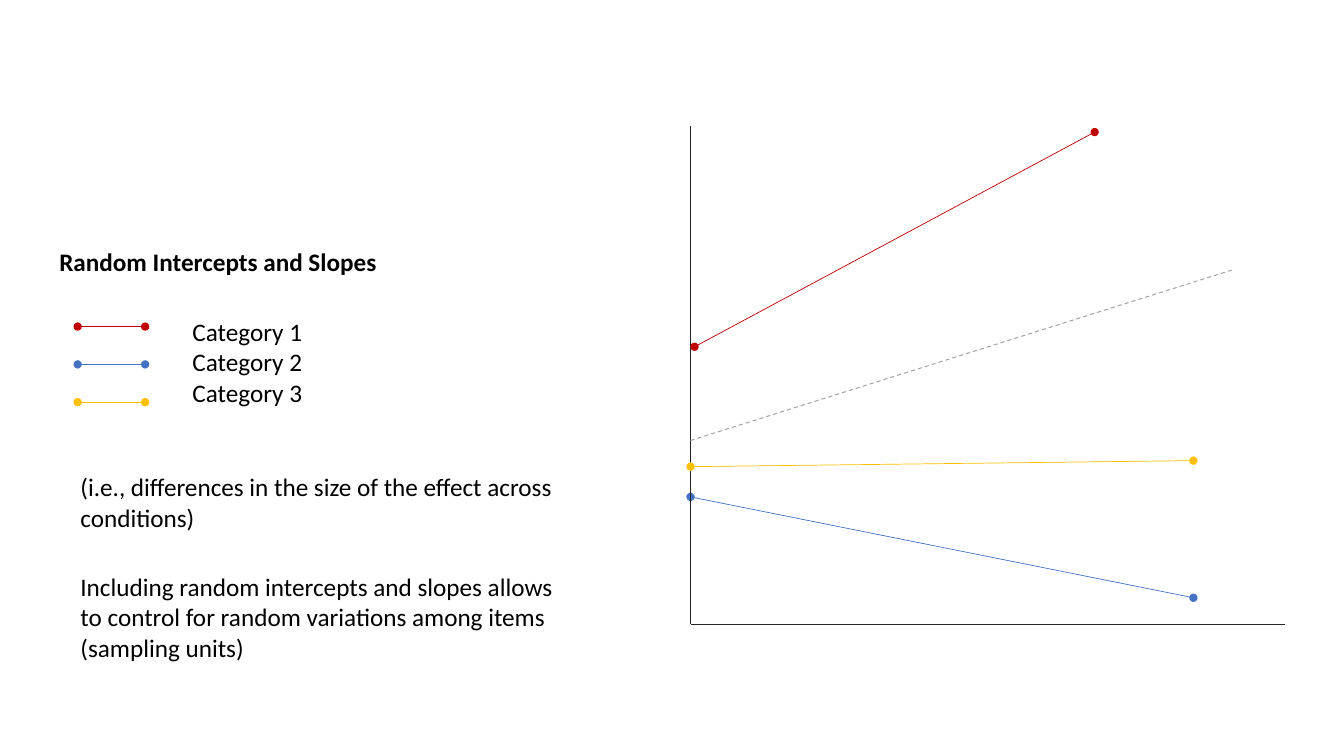
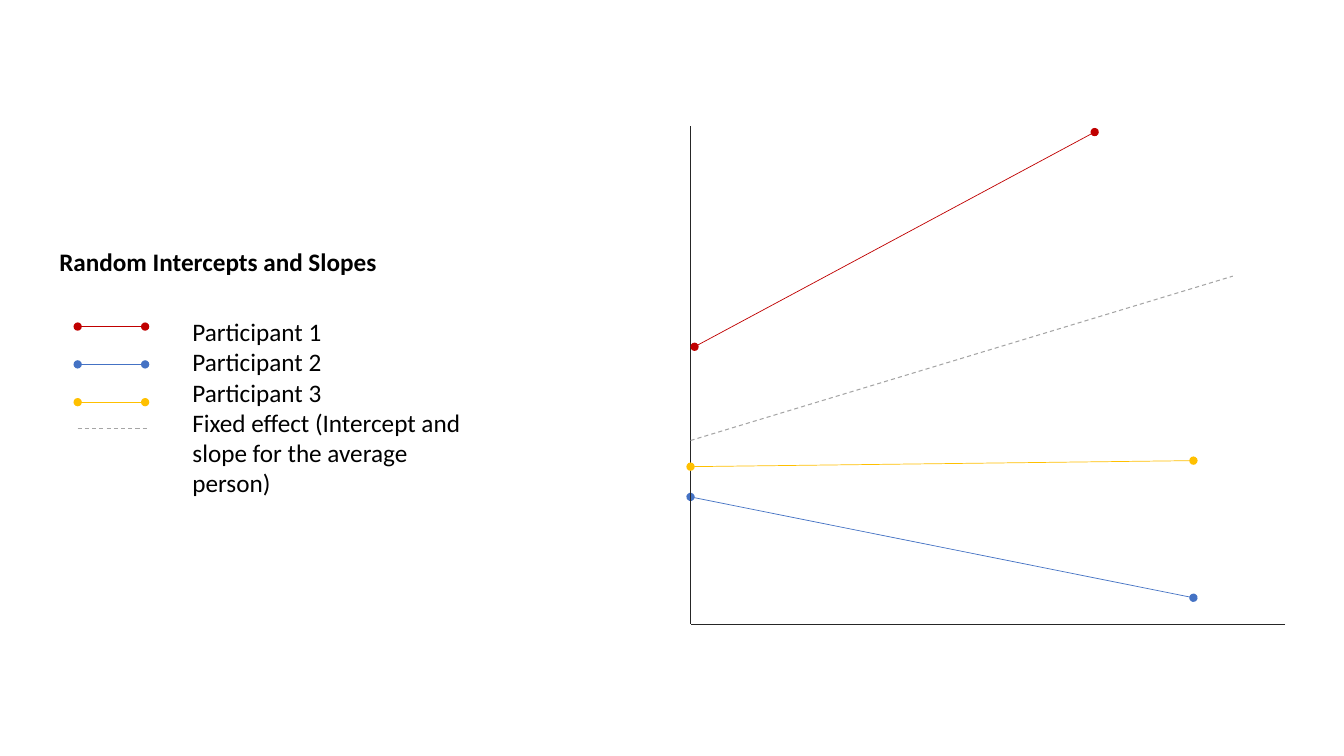
from lxml.etree import SubElement
from pptx import Presentation
from pptx.dml.color import RGBColor
from pptx.enum.dml import MSO_LINE
from pptx.enum.shapes import MSO_CONNECTOR
from pptx.enum.text import MSO_AUTO_SIZE
from pptx.oxml.ns import qn
from pptx.util import Inches, Pt

WIDTH, HEIGHT = Inches(13.333), Inches(7.5)
RED, BLUE, YELLOW = "C00000", "4472C4", "FFC000"
GREY, AXIS, BLACK = "A5A5A5", "262626", "000000"
FONT = {"name": "Calibri", "size": Pt(18)}
FRAME = {"word_wrap": True, "auto_size": MSO_AUTO_SIZE.SHAPE_TO_FIT_TEXT}

AXIS_X, AXIS_TOP, AXIS_BOTTOM, AXIS_END = 51.38, 16.67, 82.53, 95.63
FIXED_START = (AXIS_X, 58.27)
SERIES = {
    RED: ((51.68, 45.87), (81.45, 17.47)),
    BLUE: ((AXIS_X, 65.73), (88.8, 79.07)),
    YELLOW: ((AXIS_X, 61.73), (88.8, 60.93)),
}
KEY_LEFT, KEY_RIGHT, KEY_TOP, KEY_STEP = 5.78, 10.8, 43.2, 5
NOTE_LEFT, NOTE_WIDTH = 5.25, 38.48


def color(value):
    return RGBColor.from_string(value)


def col(share):
    return round(WIDTH * share / 100)


def row(share):
    return round(HEIGHT * share / 100)


def set_values(target, values):
    for name, value in values.items():
        setattr(target, name, value)


def add_line(shapes, start, end, hex_color, width=0.5):
    line = shapes.add_connector(
        MSO_CONNECTOR.STRAIGHT, col(start[0]), row(start[1]), col(end[0]), row(end[1])
    )
    line.line.color.rgb = color(hex_color)
    line.line.width = Pt(width)
    SubElement(line._element.spPr, qn("a:effectLst"))
    return line


def add_series_line(shapes, start, end, hex_color):
    line = add_line(shapes, start, end, hex_color)
    ln = line.line._get_or_add_ln()
    for tag in ("a:headEnd", "a:tailEnd"):
        SubElement(ln, qn(tag), type="oval")


def add_fixed_line(shapes, start, end):
    add_line(shapes, start, end, GREY, 0.75).line.dash_style = MSO_LINE.DASH


def add_text(shapes, left, top, width, height, paragraphs, bold=False):
    tf = shapes.add_textbox(col(left), row(top), col(width), row(height)).text_frame
    set_values(tf, FRAME)
    for i, text in enumerate(paragraphs):
        p = tf.add_paragraph() if i else tf.paragraphs[0]
        r = p.add_run()
        r.text = text
        set_values(r.font, {**FONT, "bold": bold})
        r.font.color.rgb = color(BLACK)


def add_axes(shapes):
    axes = shapes.add_group_shape().shapes
    origin = (AXIS_X, AXIS_BOTTOM)
    add_line(axes, (AXIS_X, AXIS_TOP), origin, AXIS)
    add_line(axes, (AXIS_END, AXIS_BOTTOM), origin, AXIS)


def add_plot(shapes, fixed_end):
    add_series_line(shapes, *SERIES[BLUE], BLUE)
    add_axes(shapes)
    for hex_color in (YELLOW, RED):
        add_series_line(shapes, *SERIES[hex_color], hex_color)
    add_fixed_line(shapes, FIXED_START, fixed_end)


def add_legend(shapes, labels, width):
    for i, hex_color in enumerate(SERIES):
        y = KEY_TOP + i * KEY_STEP
        add_series_line(shapes, (KEY_LEFT, y), (KEY_RIGHT, y), hex_color)
    add_text(shapes, 13.58, 41.2, width, 25.33, labels)


def add_effects_slide(prs, group, fixed_end, legend_width, extra_labels=()):
    shapes = prs.slides.add_slide(prs.slide_layouts[6]).shapes
    add_plot(shapes, fixed_end)
    add_text(shapes, 3.68, 31.87, 42.23, 9.33, ["Random Intercepts and Slopes"], True)
    labels = [f"{group} {i + 1}" for i in range(len(SERIES))]
    add_legend(shapes, [*labels, *extra_labels], legend_width)
    return shapes


def main():
    prs = Presentation()
    set_values(prs, {"slide_width": WIDTH, "slide_height": HEIGHT})

    shapes = add_effects_slide(prs, "Category", (91.65, 35.73), 11.85)
    notes = (
        (61.73, 9.33, "(i.e., differences in the size of the effect across conditions)"),
        (74.93, 17.33, "Including random intercepts and slopes allows to control for "
                       "random variations among items (sampling units)"),
    )
    for top, height, text in notes:
        add_text(shapes, NOTE_LEFT, top, NOTE_WIDTH, height, [text])

    shapes = add_effects_slide(
        prs, "Participant", (91.73, 36.53), 22.73,
        ["Fixed effect (Intercept and slope for the average person)"],
    )
    add_fixed_line(shapes, (KEY_LEFT, 56.67), (10.95, 56.67))

    prs.save("out.pptx")


if __name__ == "__main__":
    main()
